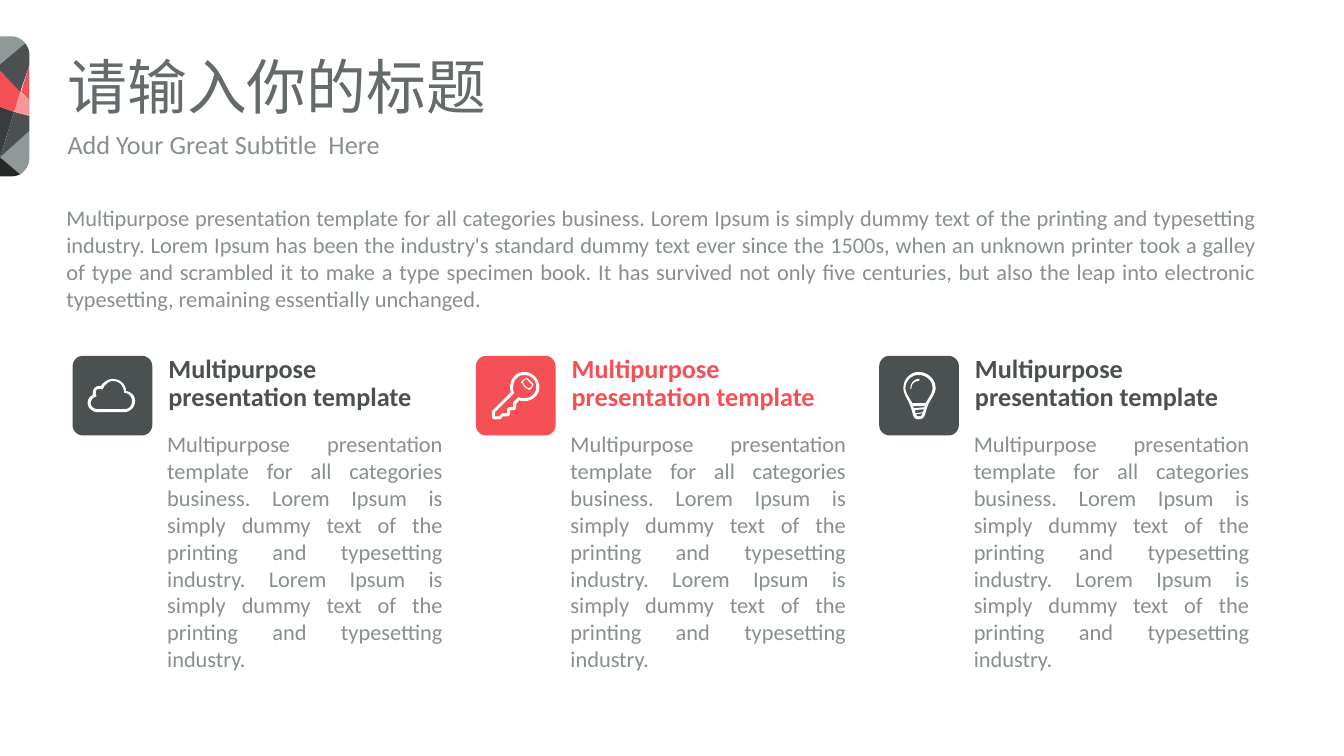
from pptx import Presentation
from pptx.dml.color import RGBColor
from pptx.enum.shapes import MSO_SHAPE
from pptx.enum.text import MSO_AUTO_SIZE, PP_ALIGN
from pptx.util import Inches, Pt

COLORS = {
    "title": "656B6B", "text": "888F8F", "dark": "4B5050", "red": "F55055",
    "pink": "F99699", "grey": "919898", "charcoal": "383C3C",
    "black": "262828", "white": "FFFFFF",
}
FONT = "Calibri"
TITLE = "请输入你的标题"
SUBTITLE = "Add Your Great Subtitle  Here"
INTRO = (
    "Multipurpose presentation template for all categories business. "
    "Lorem Ipsum is simply dummy text of the printing and typesetting industry. "
    "Lorem Ipsum has been the industry's standard dummy text ever since the 1500s, "
    "when an unknown printer took a galley of type and scrambled it to make a type "
    "specimen book. It has survived not only five centuries, but also the leap into "
    "electronic typesetting, remaining essentially unchanged."
)
HEADING = "Multipurpose presentation template"
DUMMY = "Lorem Ipsum is simply dummy text of the printing and typesetting industry."
BODY = f"Multipurpose presentation template for all categories business. {DUMMY} {DUMMY}"

CLOUD = [
    "M 51 53 L 25 53 C 21 53 18 50 18 47 C 18 44 20 42 22 41 C 24 40 24 40 23 38 "
    "L 23 37 C 23 34 24 33 26 33 L 28 33 C 30 34 30 33 31 31 C 33 28 36 25 40 25 "
    "C 46 25 50 29 51 35 C 51 37 51 37 53 37 C 57 38 59 42 59 45 C 59 50 56 53 51 53",
    "M 53 35 C 53 28 47 23 40 23 C 35 23 31 26 28 30 L 26 30 C 23 30 20 33 20 37 "
    "L 20 39 C 17 40 15 43 15 47 C 15 52 20 56 25 56 L 51 56 C 57 56 62 51 62 45 "
    "C 62 40 59 36 53 35",
]
KEY = [
    "M 48 42 C 46 42 44 42 42 41 L 40 43 L 37 46 L 37 48 L 37 51 L 34 51 "
    "C 32 51 31 52 31 54 L 31 57 L 27 57 C 27 57 26 57 25 58 L 23 60 L 19 60 "
    "L 19 56 L 36 39 L 38 37 C 37 35 37 33 37 31 C 37 24 42 19 48 19 "
    "C 55 19 60 24 60 31 C 60 37 55 42 48 42",
    "M 52 32 C 50 31 48 29 47 27 C 47 25 48 24 50 23 C 52 25 54 27 56 29 "
    "C 55 31 54 32 52 32",
    "M 57 28 C 55 26 53 24 51 22 L 50 22 C 48 23 46 24 45 26 L 45 27 L 46 27 "
    "C 47 30 49 32 52 33 C 52 34 52 34 53 34 C 55 33 56 31 57 29",
    "M 48 16 C 40 16 34 23 34 31 C 34 33 34 34 35 36 L 17 54 C 16 54 16 55 16 56 "
    "L 16 60 C 16 62 17 63 19 63 L 23 63 C 24 63 25 63 25 62 L 27 60 L 31 60 "
    "C 32 60 34 59 34 57 L 34 54 L 37 54 C 38 54 40 53 40 51 L 40 48 L 43 44 "
    "C 45 45 46 45 48 45 C 56 45 63 39 63 31 C 63 23 56 16 48 16",
]
BULB = [
    "M 46 47 L 33 47 C 32 45 31 44 30 42 C 28 39 26 35 26 32 C 26 25 32 19 39 19 "
    "C 47 19 53 25 53 32 C 53 35 51 39 49 42 C 48 44 47 45 46 47",
    "M 39 23 C 35 23 31 27 31 32 L 31 33 C 32 33 32 32 32 32 C 32 28 35 25 39 25 "
    "C 40 25 40 24 40 24 C 40 23 40 23 39 23",
    "M 39 60 C 38 60 37 60 37 58 L 43 57 C 42 60 41 60 39 60",
    "M 35 52 C 34 52 34 51 34 50 L 45 50 L 45 51 L 35 52",
    "M 43 56 L 36 57 C 36 56 36 55 35 54 L 44 53 L 44 54 C 44 55 43 55 43 56",
    "M 39 16 C 31 16 24 23 24 32 C 24 38 29 44 31 50 C 34 58 33 63 39 63 "
    "C 46 63 45 58 48 50 C 50 44 56 38 56 32 C 56 23 48 16 39 16",
]
COLUMNS = [("dark", CLOUD), ("red", KEY), ("dark", BULB)]
FACETS = [
    ("grey", "M 29 130 L 0 156 L 20 173 C 25 170 29 164 29 158"),
    ("charcoal", "M 14 111 L 0 106 L 0 156"),
    ("dark", "M 14 111 L 0 156 L 29 130 L 29 115"),
    ("black", "M 20 173 L 0 156 L 0 175 L 11 175 C 14 175 18 174 20 173"),
    ("grey", "M 0 64 L 25 43 C 22 39 17 36 11 36 L 0 36"),
    ("red", "M 29 65 L 21 91 L 29 99"),
    ("red", "M 14 111 L 21 91 L 0 70 L 0 106"),
    ("dark", "M 0 70 L 20 91 L 29 65 L 29 53 C 29 49 27 46 25 43 L 0 64"),
    ("pink", "M 29 99 L 20 91 L 14 111 L 29 115"),
]
COLUMN_LEFT, COLUMN_TOP, COLUMN_PITCH = 0.72, 3.53, 4
TILE = 0.79
CURVE_STEPS = 8


def rgb(name):
    return RGBColor.from_string(COLORS[name])


def paint(sp, color):
    sp.shadow.inherit = False
    sp.fill.solid()
    sp.fill.fore_color.rgb = rgb(color)
    sp.line.fill.background()


def trace(outline):
    points = []
    for token in outline.replace("L", "|L").replace("C", "|C").split("|"):
        command, *numbers = token.split()
        values = [int(n) for n in numbers]
        pairs = list(zip(values[::2], values[1::2]))
        if command != "C":
            points += pairs
            continue
        curve = [points[-1], *pairs]
        for step in range(1, CURVE_STEPS + 1):
            t = step / CURVE_STEPS
            weights = ((1 - t) ** 3, 3 * t * (1 - t) ** 2, 3 * t * t * (1 - t), t ** 3)
            points.append(tuple(
                sum(w * pt[axis] for w, pt in zip(weights, curve)) for axis in (0, 1)))
    return points


def add_outline(shapes, outlines, color, left=0, top=0):
    builder = None
    for outline in outlines:
        points = [(Inches(left + x / 100), Inches(top + y / 100)) for x, y in trace(outline)]
        if builder is None:
            builder = shapes.build_freeform(*points[0])
        else:
            builder.move_to(*points[0])
        builder.add_line_segments(points[1:], close=True)
    paint(builder.convert_to_shape(), color)


def add_text(box, text, size, color, bold=False, body=False):
    tf = s.shapes.add_textbox(*(Inches(v) for v in box)).text_frame
    tf.word_wrap = True
    p = tf.paragraphs[0]
    p.text = text
    p.font.name, p.font.size, p.font.bold = FONT, Pt(size), bold
    p.font.color.rgb = rgb(color)
    if body:
        tf.auto_size = MSO_AUTO_SIZE.SHAPE_TO_FIT_TEXT
        p.alignment = PP_ALIGN.JUSTIFY
    else:
        tf.margin_left = tf.margin_right = tf.margin_top = tf.margin_bottom = 0
        p.line_spacing, p.space_before = 0.9, Pt(7.5)


prs = Presentation()
prs.slide_width, prs.slide_height = Inches(13.33), Inches(7.5)
s = prs.slides.add_slide(prs.slide_layouts[6])

badge = s.shapes.add_group_shape()
for color, outline in FACETS:
    add_outline(badge.shapes, [outline], color)

add_text((0.67, 0.57, 7, 0.59), TITLE, 42.7, "title")
add_text((0.67, 1.31, 4.26, 0.25), SUBTITLE, 18.7, "text")
add_text((0.56, 1.98, 12, 1.18), INTRO, 16, "text", body=True)

for i, (color, glyph) in enumerate(COLUMNS):
    left = COLUMN_LEFT + i * COLUMN_PITCH
    icon = s.shapes.add_group_shape()
    tile = icon.shapes.add_shape(
        MSO_SHAPE.ROUNDED_RECTANGLE,
        Inches(left), Inches(COLUMN_TOP), Inches(TILE), Inches(TILE))
    tile.adjustments[0] = 0.13
    paint(tile, color)
    add_outline(icon.shapes, glyph, "white", left, COLUMN_TOP)
    add_text((left + 0.95, COLUMN_TOP, 2.69, 0.89), HEADING, 18.7, color, bold=True)
    add_text((left + 0.84, 4.22, 2.93, 2.79), BODY, 16, "text", body=True)

prs.save("out.pptx")
